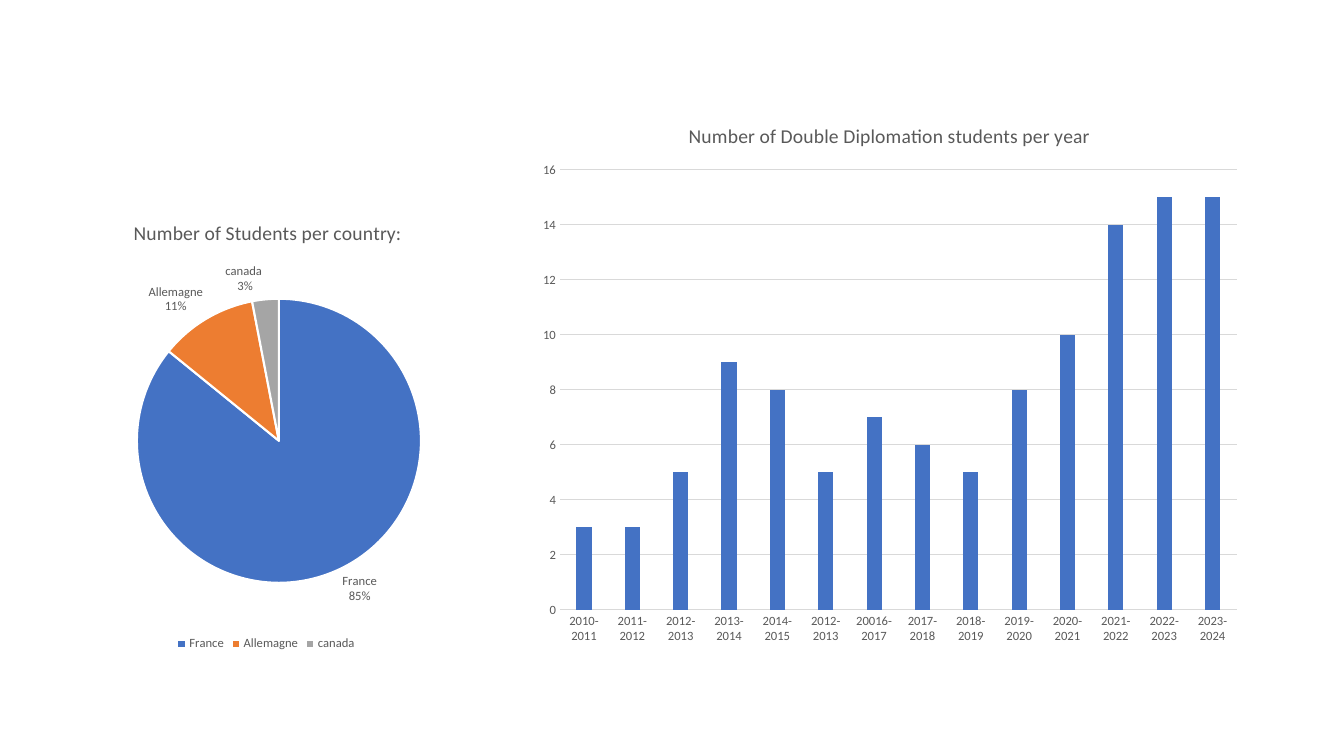
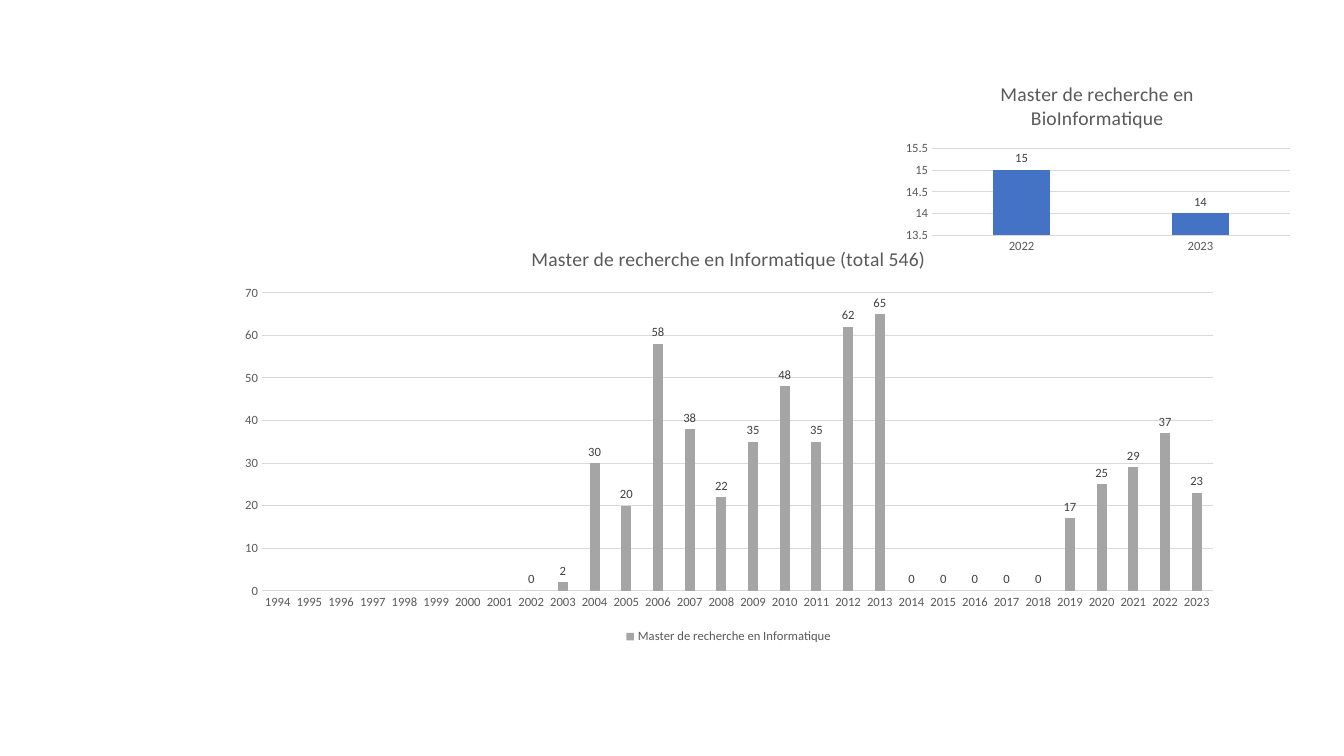
from lxml import etree
from pptx import Presentation
from pptx.chart.data import CategoryChartData
from pptx.dml.color import RGBColor
from pptx.enum.chart import (XL_CHART_TYPE, XL_LABEL_POSITION,
                             XL_LEGEND_POSITION, XL_TICK_MARK)
from pptx.oxml import parse_xml
from pptx.oxml.ns import nsdecls, qn
from pptx.util import Cm, Pt

PIE = XL_CHART_TYPE.PIE
COLUMN = XL_CHART_TYPE.COLUMN_CLUSTERED
BOTTOM = XL_LEGEND_POSITION.BOTTOM
OUT_END = XL_LABEL_POSITION.OUTSIDE_END
NO_TICK = XL_TICK_MARK.NONE

FONT = "Calibri"
WHITE = RGBColor(0xFF, 0xFF, 0xFF)
BLUE = RGBColor(0x44, 0x72, 0xC4)
ORANGE = RGBColor(0xED, 0x7D, 0x31)
GRAY = RGBColor(0xA5, 0xA5, 0xA5)
TEXT = RGBColor(0x59, 0x59, 0x59)
DARK = RGBColor(0x40, 0x40, 0x40)
RULE = RGBColor(0xD9, 0xD9, 0xD9)

# Content: box (whole chart) and plot (inner area) are left, top, width
# and height on the slide in cm; scale is min, max, step
SLIDES = [
    [
        dict(kind=PIE, title="Number of Students per country: ",
             name="Students", box=(2.34, 5.08, 8.81, 11.43),
             plot=(3.45, 7.53, 7.16, 7.16), legend=True, labels=True,
             cats=["France", "Allemagne", "canada "],
             vals=[85, 11, 3], colors=[BLUE, ORANGE, GRAY]),
        dict(kind=COLUMN,
             title="Number of Double Diplomation students per year",
             name="Students", box=(13.31, 2.57, 18.21, 13.94),
             plot=(14.11, 4.28, 17.06, 11.09), legend=False, labels=False,
             cats=["2010-2011", "2011-2012", "2012-2013", "2013-2014",
                   "2014-2015", "2012-2013", "20016-2017", "2017-2018",
                   "2018-2019", "2019-2020", "2020-2021", "2021-2022",
                   "2022-2023", "2023-2024"],
             vals=[3, 3, 5, 9, 8, 5, 7, 6, 5, 8, 10, 14, 15, 15],
             colors=[BLUE], scale=(0, 16, 2)),
    ],
    [
        dict(kind=COLUMN, title="Master de recherche en BioInformatique",
             name="Master de recherche en BioInformatique",
             box=(22.61, 1.7, 10.08, 4.8),
             plot=(23.49, 3.74, 9.02, 2.19), legend=False, labels=True,
             cats=["2022", "2023"], vals=[15, 14],
             colors=[BLUE], scale=(13.5, 15.5, 0.5)),
        dict(kind=COLUMN,
             title="Master de recherche en Informatique (total 546)",
             name="Master de recherche en Informatique",
             box=(5.66, 5.74, 25.4, 10.59),
             plot=(6.6, 7.38, 23.96, 7.51), legend=True, labels=True,
             cats=[str(year) for year in range(1994, 2024)],
             vals=[None] * 8 + [0, 2, 30, 20, 58, 38, 22, 35, 48, 35, 62, 65]
             + [0] * 5 + [17, 25, 29, 37, 23],
             colors=[GRAY], scale=(0, 70, 10)),
    ],
]


def style(font, size=9, color=TEXT):
    font.name, font.size, font.bold = FONT, Pt(size), False
    font.color.rgb = color


def paint(line):
    line.color.rgb = RULE
    line.width = Pt(0.75)


def place(chart, box, plot):
    """Clear the chart's background and pin the inner plot area."""
    root = chart._chartSpace
    root.find(qn("c:chart")).addnext(parse_xml(
        f'<c:spPr {nsdecls("c", "a")}><a:noFill/>'
        '<a:ln><a:noFill/></a:ln></c:spPr>'))
    area = root.find(".//" + qn("c:plotArea"))
    old = area.find(qn("c:layout"))
    if old is not None:
        area.remove(old)
    left, top, wide, high = box
    x, y, w, h = plot
    parts = ((x - left) / wide, (y - top) / high, w / wide, h / high)
    spots = "".join(f'<c:{key} val="{part:.4f}"/>'
                    for key, part in zip("xywh", parts))
    area.insert(0, parse_xml(
        f'<c:layout {nsdecls("c")}><c:manualLayout>'
        '<c:layoutTarget val="inner"/><c:xMode val="edge"/>'
        f'<c:yMode val="edge"/>{spots}</c:manualLayout></c:layout>'))


def set_axes(chart, scale):
    cat, val = chart.category_axis, chart.value_axis
    for axis in (cat, val):
        axis.major_tick_mark = axis.minor_tick_mark = NO_TICK
        style(axis.tick_labels.font)
    cat.has_major_gridlines = False
    paint(cat.format.line)
    val.has_major_gridlines = True
    paint(val.major_gridlines.format.line)
    val.format.line.fill.background()
    val.minimum_scale, val.maximum_scale, val.major_unit = scale


def set_labels(group, is_pie):
    group.has_data_labels = True
    labels = group.data_labels
    labels.position = OUT_END
    labels.show_value = True
    style(labels.font, color=TEXT if is_pie else DARK)
    if is_pie:
        # The values are rounded percentages already
        labels.show_category_name = True
        labels.number_format = '0"%"'
        labels.number_format_is_linked = False
        mark = etree.Element(qn("c:separator"))
        mark.text = "\n"
        labels._element.find(qn("c:showBubbleSize")).addnext(mark)


def add_chart(slide, item):
    is_pie = item["kind"] == PIE
    data = CategoryChartData()
    data.categories = item["cats"]
    data.add_series(item["name"], item["vals"])
    box = [Cm(size) for size in item["box"]]
    chart = slide.shapes.add_chart(item["kind"], *box, data).chart
    style(chart.font, 10)

    # Title and legend
    chart.has_title = True
    frame = chart.chart_title.text_frame
    frame.text = item["title"]
    style(frame.paragraphs[0].runs[0].font, 14)
    chart.has_legend = item["legend"]
    if item["legend"]:
        chart.legend.position = BOTTOM
        chart.legend.include_in_layout = False
        style(chart.legend.font)

    # Slices or columns
    group = chart.plots[0]
    group.vary_by_categories = is_pie
    series = group.series[0]
    if is_pie:
        for i, color in enumerate(item["colors"]):
            part = series.points[i].format
            part.fill.solid()
            part.fill.fore_color.rgb = color
            part.line.color.rgb = WHITE
            part.line.width = Pt(1.5)
    else:
        series.format.fill.solid()
        series.format.fill.fore_color.rgb = item["colors"][0]
        group.gap_width, group.overlap = 219, -27
        set_axes(chart, item["scale"])
    if item["labels"]:
        set_labels(group, is_pie)
    place(chart, item["box"], item["plot"])


def main():
    deck = Presentation()
    deck.slide_width, deck.slide_height = Cm(33.87), Cm(19.05)
    for items in SLIDES:
        slide = deck.slides.add_slide(deck.slide_layouts[6])
        slide.background.fill.solid()
        slide.background.fill.fore_color.rgb = WHITE
        for item in items:
            add_chart(slide, item)
    deck.save("out.pptx")


if __name__ == "__main__":
    main()
